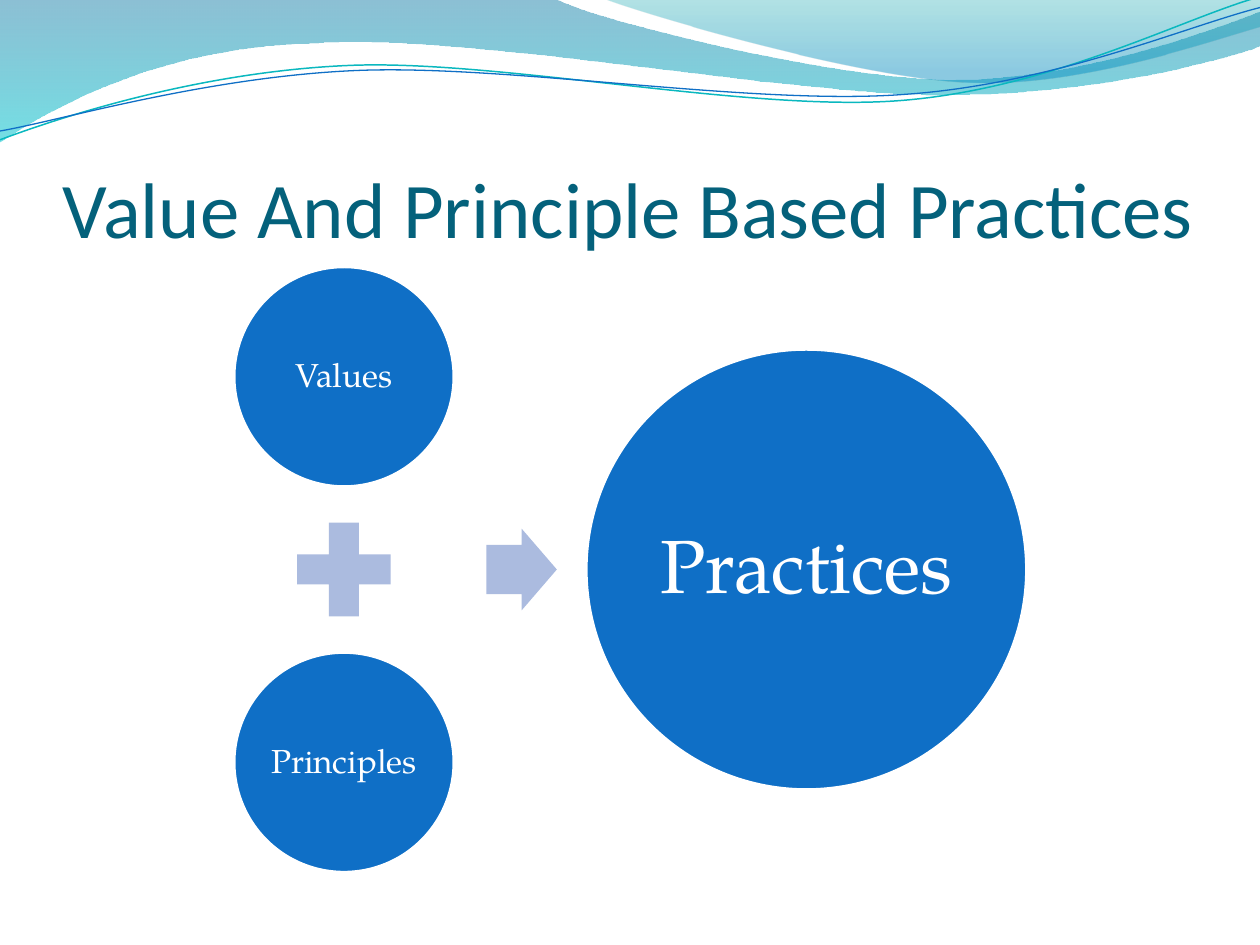
from lxml import etree
from pptx import Presentation
from pptx.dml.color import RGBColor
from pptx.enum.shapes import MSO_SHAPE
from pptx.enum.text import MSO_ANCHOR, PP_ALIGN
from pptx.oxml.ns import qn
from pptx.util import Inches, Pt

ELLIPSE, PLUS, ARROW = MSO_SHAPE.OVAL, MSO_SHAPE.MATH_PLUS, MSO_SHAPE.RIGHT_ARROW
MIDDLE, BOTTOM = MSO_ANCHOR.MIDDLE, MSO_ANCHOR.BOTTOM
LEFT, CENTER = PP_ALIGN.LEFT, PP_ALIGN.CENTER

BLUE, PALE, WHITE, TEAL = "0F6FC6", "ABBBDF", "FFFFFF", "04617B"

# Each segment holds one end point (straight) or two controls and an end point (curve).
BANDS = [
    {"start": (0, 0),
     "segments": [
         [(4.4, -0.01)],
         [(4.76, 0.17), (6.64, 0.63), (7.58, 0.63)],
         [(8.53, 0.63), (9.58, 0.26), (10, 0.09)],
         [(10.01, 0.36)],
         [(9.83, 0.44), (8.7, 0.76), (7.46, 0.75)],
         [(6.22, 0.75), (3.82, 0.28), (2.57, 0.34)],
         [(1.29, 0.36), (0.46, 0.83), (-0.01, 1.13)]],
     "stops": [(0, "0074A1", 45), (1, "00C6CF", 55)]},
    {"start": (4.79, -0.01),
     "segments": [
         [(5.09, 0.11), (6.82, 0.62), (7.69, 0.65)],
         [(8.56, 0.69), (9.61, 0.32), (10, 0.21)],
         [(10, 0)]],
     "stops": [(0, "00A1A9", 30), (0.8, "008BBF", 45)]},
]
WAVES = [
    {"start": (0, 1.11),
     "segments": [
         [(0.48, 0.93), (1.58, 0.57), (2.77, 0.52)],
         [(3.95, 0.47), (5.93, 0.89), (7.13, 0.8)],
         [(8.33, 0.71), (9.38, 0.15), (9.98, -0.02)]],
     "line": ("0AB8BF", 0.85)},
    {"start": (0, 1.04),
     "segments": [
         [(0.47, 0.96), (1.64, 0.61), (2.83, 0.56)],
         [(4.03, 0.51), (5.97, 0.84), (7.17, 0.75)],
         [(8.36, 0.67), (9.41, 0.21), (10, 0.06)]],
     "line": (BLUE, 0.75)},
]

TITLE = "Value And Principle Based Practices"
MIDDLE_Y = 4.52
INPUT_X = 2.73
INPUT_STEP = 1.53
CIRCLES = [
    ("Values", INPUT_X, MIDDLE_Y - INPUT_STEP, 1.75, 19),
    ("Principles", INPUT_X, MIDDLE_Y + INPUT_STEP, 1.75, 19),
    ("Practices", 6.4, MIDDLE_Y, 3.5, 43),
]
OPERATORS = [
    (PLUS, INPUT_X, 1.01, 1.01, []),
    (ARROW, 4.14, 0.56, 0.65, [0.6, 0.5]),
]


def color(value):
    return RGBColor.from_string(value)


def add_curve(slide, start, segments, close):
    points = [point for segment in segments for point in segment]
    builder = slide.shapes.build_freeform(*map(Inches, start), scale=1.0)
    builder.add_line_segments([tuple(map(Inches, point)) for point in points], close=close)
    shape = builder.convert_to_shape()
    shape.shadow.inherit = False
    lines = iter(list(shape._element.iter(qn("a:lnTo"))))
    for segment in segments:
        parts = [next(lines) for point in segment]
        if len(parts) == 3:
            curve = etree.Element(qn("a:cubicBezTo"))
            parts[0].addprevious(curve)
            for part in parts:
                curve.append(part[0])
                part.getparent().remove(part)
    return shape


def add_band(slide, band):
    shape = add_curve(slide, band["start"], band["segments"], True)
    shape.line.fill.background()
    shape.fill.gradient()
    shape.fill.gradient_angle = 270
    for stop, (position, value, opacity) in zip(shape.fill.gradient_stops, band["stops"]):
        stop.position = position
        stop.color.rgb = color(value)
    for element, (_, _, opacity) in zip(shape._element.spPr.iter(qn("a:srgbClr")), band["stops"]):
        etree.SubElement(element, qn("a:alpha"), val=str(opacity * 1000))


def add_wave(slide, wave):
    shape = add_curve(slide, wave["start"], wave["segments"], False)
    shape.fill.background()
    value, width = wave["line"]
    shape.line.color.rgb = color(value)
    shape.line.width = Pt(width)


def add_centered(slide, kind, x, y, width, height, fill):
    shape = slide.shapes.add_shape(
        kind, Inches(x - width / 2), Inches(y - height / 2), Inches(width), Inches(height))
    shape.shadow.inherit = False
    shape.fill.solid()
    shape.fill.fore_color.rgb = color(fill)
    shape.line.fill.background()
    return shape


def write(shape, text, font, size, value, alignment, frame_format):
    for name, setting in frame_format.items():
        setattr(shape.text_frame, name, setting)
    paragraph = shape.text_frame.paragraphs[0]
    paragraph.alignment = alignment
    run = paragraph.add_run()
    run.text = text
    for name, setting in {"name": font, "size": Pt(size)}.items():
        setattr(run.font, name, setting)
    run.font.color.rgb = color(value)
    return paragraph


def main():
    presentation = Presentation()
    presentation.slide_width, presentation.slide_height = Inches(10), Inches(7.5)
    slide = presentation.slides.add_slide(presentation.slide_layouts[6])

    for band in BANDS:
        add_band(slide, band)
    for wave in WAVES:
        add_wave(slide, wave)

    title = slide.shapes.add_textbox(Inches(0.5), Inches(0.77), Inches(9), Inches(1.25))
    write(title, TITLE, "Calibri", 45, TEAL, LEFT, {
        "word_wrap": True, "vertical_anchor": BOTTOM, "margin_left": 0,
        "margin_right": 0, "margin_top": Inches(0.05), "margin_bottom": 0})

    for text, x, y, diameter, size in CIRCLES:
        circle = add_centered(slide, ELLIPSE, x, y, diameter, diameter, BLUE)
        circle.line.color.rgb = color(WHITE)
        circle.line.width = Pt(2)
        margins = {f"margin_{side}": Inches(0.03) for side in ("left", "right", "top", "bottom")}
        paragraph = write(circle, text, "TeX Gyre Pagella", size, WHITE, CENTER, {
            "word_wrap": False, "vertical_anchor": MIDDLE, **margins})
        paragraph.line_spacing = 0.9

    for kind, x, width, height, adjustments in OPERATORS:
        operator = add_centered(slide, kind, x, MIDDLE_Y, width, height, PALE)
        for index, adjustment in enumerate(adjustments):
            operator.adjustments[index] = adjustment

    presentation.save("out.pptx")


if __name__ == "__main__":
    main()
